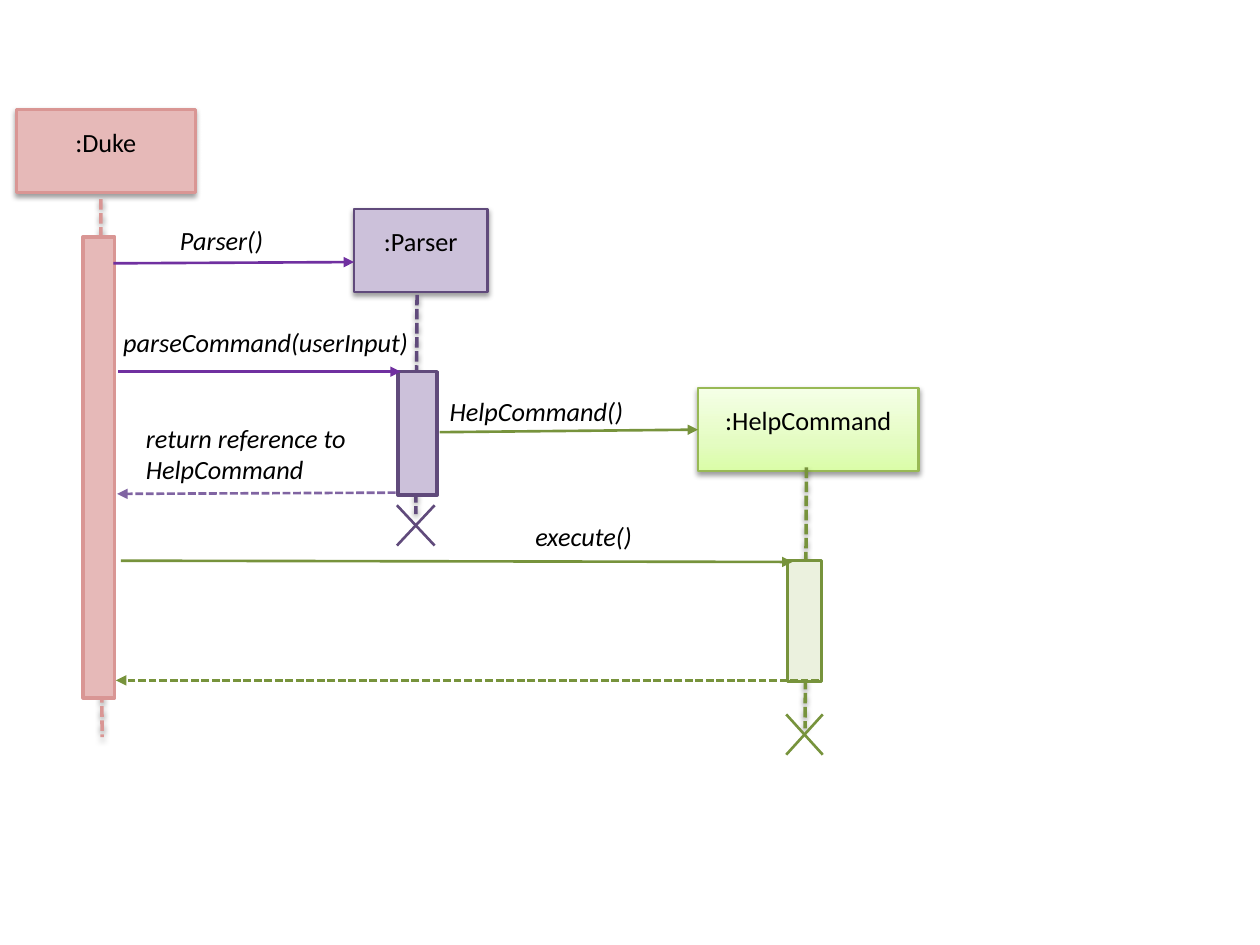
"""Build a sequence diagram of a help command being parsed and executed."""
from dataclasses import dataclass

from lxml import etree
from pptx import Presentation
from pptx import util as u
from pptx.dml.color import RGBColor
from pptx.enum import dml, shapes, text
from pptx.oxml.ns import qn

FONT, SIZE = "Calibri", 15
PINK, VIOLET, GREEN = "D99694", "604A7B", "77933C"
CALL, REPLY = "7030A0", "8064A2"
HEAD_HEIGHT = 0.66
GRADIENT = ((0, "DAFDA7"), (35, "E4FCC2"), (100, "F5FFE7"))


@dataclass(frozen=True)
class Box:
    left: float
    top: float
    width: float
    height: float


@dataclass(frozen=True)
class Line:
    start: tuple[float, float]
    end: tuple[float, float]
    color: str
    dashed: bool = False


@dataclass(frozen=True)
class Participant:
    name: str
    head: Box
    head_line: str
    bar: Box
    fill: str
    lifeline: Line
    gradient: bool = False


@dataclass(frozen=True)
class Label:
    words: str
    box: Box
    wrap: bool = False


PARTICIPANTS = (
    Participant(":Duke", Box(0.13, 0.87, 1.42, HEAD_HEIGHT), PINK,
                Box(0.66, 1.88, 0.25, 3.66), "E6B9B8",
                Line((0.8, 1.58), (0.81, 5.85), PINK, True)),
    Participant(":Parser", Box(2.81, 1.66, 1.06, HEAD_HEIGHT), VIOLET,
                Box(3.16, 2.95, 0.31, 0.98), "CCC1DA",
                Line((3.31, 2.34), (3.3, 4.08), VIOLET, True)),
    Participant(":HelpCommand", Box(5.54, 3.08, 1.75, HEAD_HEIGHT), "98B955",
                Box(6.25, 4.45, 0.27, 0.96), "EBF1DE",
                Line((6.4, 3.71), (6.39, 5.78), GREEN, True), gradient=True),
)
MESSAGES = (
    Line((0.9, 2.09), (2.81, 2.08), CALL),
    Line((0.94, 2.95), (3.18, 2.95), CALL),
    Line((3.49, 3.43), (5.54, 3.41), GREEN),
    Line((3.14, 3.91), (0.93, 3.92), REPLY, True),
    Line((0.96, 4.45), (6.29, 4.46), GREEN),
    Line((6.5, 5.4), (0.92, 5.4), GREEN, True),
)
LABELS = (
    Label("Parser()", Box(1.33, 1.73, 1.29, 0.35)),
    Label("parseCommand(userInput)", Box(0.88, 2.54, 2.73, 0.35)),
    Label("HelpCommand()", Box(3.47, 3.09, 2.28, 0.35)),
    Label("return reference to HelpCommand", Box(1.06, 3.3, 1.87, 0.61), True),
    Label("execute()", Box(4.15, 4.08, 0.97, 0.35)),
)
CROSSES = ((Box(3.15, 4.01, 0.3, 0.32), VIOLET), (Box(6.24, 5.67, 0.29, 0.32), GREEN))


def rgb(color: str) -> RGBColor:
    """Turn a hex string into a colour."""
    return RGBColor.from_string(color)


def inches(box: Box) -> tuple:
    """Give the box as lengths."""
    return tuple(u.Inches(v) for v in (box.left, box.top, box.width, box.height))


def set_effects(sp, shadow: bool) -> None:
    """Replace the theme effects by a soft drop shadow or by nothing."""
    effects = etree.SubElement(sp._element.spPr, qn("a:effectLst"))
    if shadow:
        outer = etree.SubElement(effects, qn("a:outerShdw"), blurRad=str(u.Pt(3.1)),
                                 dist=str(u.Pt(1.6)), dir="5400000", rotWithShape="0")
        color = etree.SubElement(outer, qn("a:srgbClr"), val="000000")
        etree.SubElement(color, qn("a:alpha"), val="38000")


def set_gradient(sp) -> None:
    """Fill the shape with the upward green gradient."""
    sp.fill.gradient()
    grad = sp._element.spPr.find(qn("a:gradFill"))
    for child in list(grad):
        grad.remove(child)
    stops = etree.SubElement(grad, qn("a:gsLst"))
    for position, color in GRADIENT:
        stop = etree.SubElement(stops, qn("a:gs"), pos=str(position * 1000))
        etree.SubElement(stop, qn("a:srgbClr"), val=color)
    etree.SubElement(grad, qn("a:lin"), ang="16200000", scaled="0")


def write(tf, words: str, italic: bool = False) -> None:
    """Write one paragraph in the diagram's font."""
    tf.text = words
    r = tf.paragraphs[0].runs[0]
    r.font.name, r.font.size, r.font.italic = FONT, u.Pt(SIZE), italic
    r.font.color.rgb = rgb("000000")


def add_rect(slide, box: Box, fill: str, line: str, width: float,
             shadow: bool = False, gradient: bool = False):
    """Draw a filled rectangle."""
    sp = slide.shapes.add_shape(shapes.MSO_SHAPE.RECTANGLE, *inches(box))
    if gradient:
        set_gradient(sp)
    else:
        sp.fill.solid()
        sp.fill.fore_color.rgb = rgb(fill)
    sp.line.color.rgb = rgb(line)
    sp.line.width = u.Pt(width)
    set_effects(sp, shadow)
    return sp


def add_line(slide, line: Line, width: float = 1.5, arrow: bool = False,
             shadow: bool = False) -> None:
    """Draw a straight line, dashed or with an arrowhead where asked."""
    sp = slide.shapes.add_connector(shapes.MSO_CONNECTOR.STRAIGHT,
                                    *(u.Inches(v) for v in line.start + line.end))
    sp.line.color.rgb = rgb(line.color)
    sp.line.width = u.Pt(width)
    if line.dashed:
        sp.line.dash_style = dml.MSO_LINE.SQUARE_DOT
    if arrow:
        etree.SubElement(sp._element.spPr.find(qn("a:ln")), qn("a:tailEnd"), type="triangle")
    set_effects(sp, shadow)


def add_participant(slide, item: Participant) -> None:
    """Draw a named head, its lifeline and its activation bar."""
    sp = add_rect(slide, item.head, item.fill, item.head_line, 1.5, True, item.gradient)
    tf = sp.text_frame
    tf.vertical_anchor = text.MSO_ANCHOR.TOP
    tf.margin_top = u.Inches(0.13)
    write(tf, item.name)
    tf.paragraphs[0].alignment = text.PP_ALIGN.CENTER
    add_line(slide, item.lifeline, 2, shadow=True)
    add_rect(slide, item.bar, item.fill, item.lifeline.color, 2)


def add_label(slide, label: Label) -> None:
    """Write the caption of a message."""
    tf = slide.shapes.add_textbox(*inches(label.box)).text_frame
    tf.word_wrap = label.wrap
    write(tf, label.words, italic=True)


def add_cross(slide, box: Box, color: str) -> None:
    """Mark the end of a lifeline with two diagonals."""
    right, bottom = box.left + box.width, box.top + box.height
    add_line(slide, Line((box.left, box.top), (right, bottom), color))
    add_line(slide, Line((right, box.top), (box.left, bottom), color))


def main() -> None:
    """Build and save the slide."""
    prs = Presentation()
    prs.slide_width, prs.slide_height = u.Inches(10), u.Inches(7.5)
    slide = prs.slides.add_slide(prs.slide_layouts.get_by_name("Blank"))
    for item in PARTICIPANTS:
        add_participant(slide, item)
    for message in MESSAGES:
        add_line(slide, message, arrow=True)
    for label in LABELS:
        add_label(slide, label)
    for box, color in CROSSES:
        add_cross(slide, box, color)
    prs.save("out.pptx")


main()
